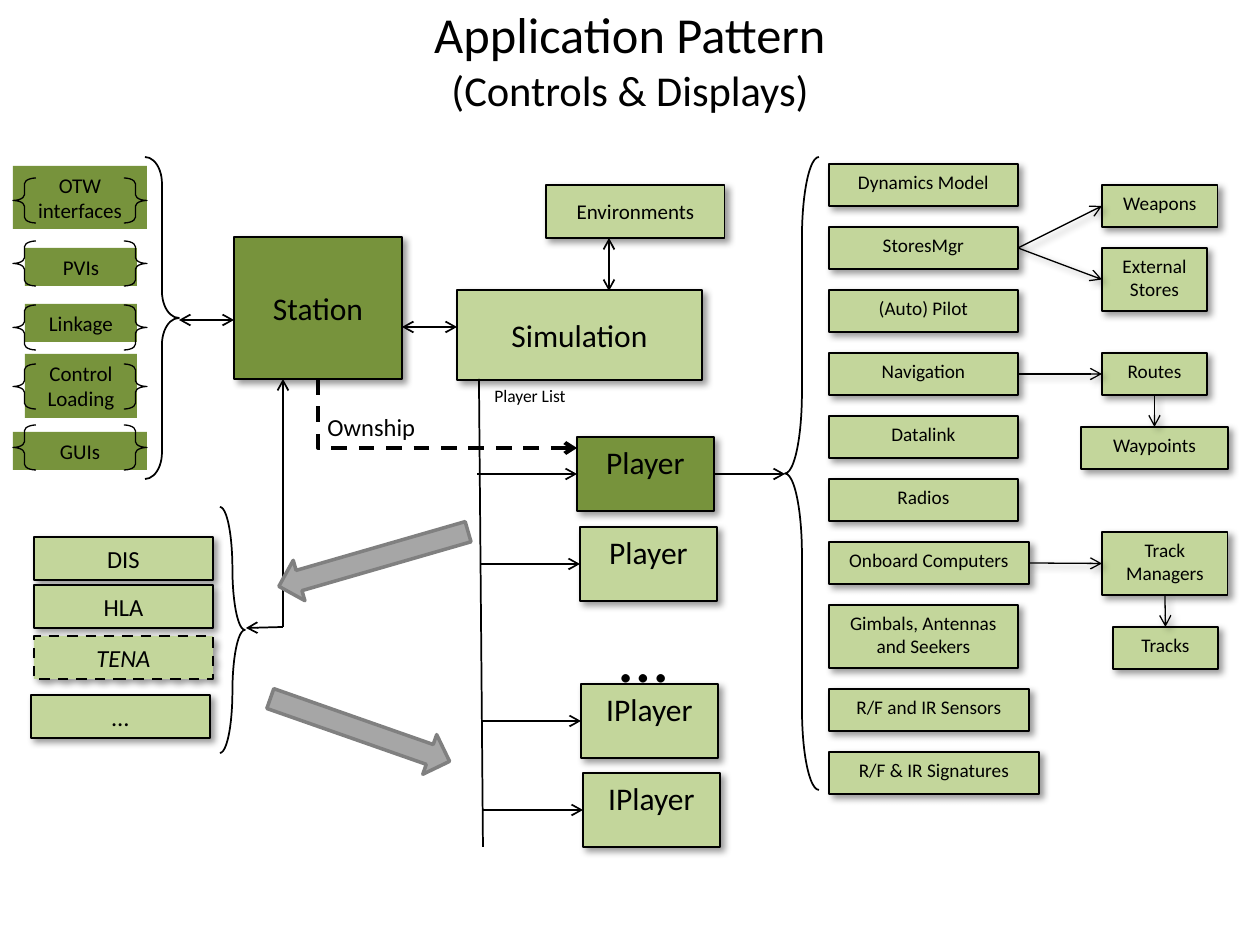
from lxml.etree import SubElement
from pptx import Presentation
from pptx.dml.color import RGBColor
from pptx.enum.dml import MSO_LINE
from pptx.enum.shapes import MSO_CONNECTOR, MSO_SHAPE
from pptx.enum.text import MSO_ANCHOR, PP_ALIGN
from pptx.oxml.ns import qn
from pptx.util import Pt

PX = 7200 * 127 // 126
BLACK = RGBColor(0x00, 0x00, 0x00)
DARK_GREEN = RGBColor(0x77, 0x93, 0x3C)
LIGHT_GREEN = RGBColor(0xC3, 0xD6, 0x9B)
GREY = RGBColor(0xA6, 0xA6, 0xA6)
DARK_GREY = RGBColor(0x80, 0x80, 0x80)
TOP, LEFT, BOTTOM, RIGHT = range(4)


def px(*lengths):
    return [round(length * PX) for length in lengths]


def style_span(span, size, italic=False):
    span.font.name = "Calibri"
    span.font.size = Pt(size)
    span.font.italic = italic
    span.font.color.rgb = BLACK


def write_text(frame, text, size=11, italic=False, align=PP_ALIGN.CENTER,
               anchor=MSO_ANCHOR.TOP, wrap=True):
    frame.text = text
    frame.word_wrap = wrap
    frame.vertical_anchor = anchor
    for para in frame.paragraphs:
        para.alignment = align
        for span in para.runs:
            style_span(span, size, italic)


def add_text(page, bounds, text, **text_format):
    box = page.shapes.add_textbox(*px(*bounds))
    write_text(box.text_frame, text, **text_format)
    return box


def add_shadow(shape):
    effects = shape._element.spPr.find(qn("a:effectLst"))
    shadow = SubElement(effects, qn("a:outerShdw"), blurRad="50800",
                        dist="38100", dir="2700000", algn="tl", rotWithShape="0")
    color = SubElement(shadow, qn("a:srgbClr"), val=str(BLACK))
    SubElement(color, qn("a:alpha"), val="40000")


def add_box(page, bounds, text, fill=LIGHT_GREEN, outlined=True, dashed=False,
            **text_format):
    box = page.shapes.add_shape(MSO_SHAPE.RECTANGLE, *px(*bounds))
    box.shadow.inherit = False
    box.fill.solid()
    box.fill.fore_color.rgb = fill
    if outlined:
        box.line.color.rgb = BLACK
        box.line.width = Pt(1.5 if dashed else 0.75)
        if dashed:
            box.line.dash_style = MSO_LINE.DASH
        add_shadow(box)
    else:
        box.line.fill.background()
    write_text(box.text_frame, text, **text_format)
    return box


def add_brace(page, bounds, curve, width=1, flipped=False):
    brace = page.shapes.add_shape(MSO_SHAPE.LEFT_BRACE, *px(*bounds))
    brace.shadow.inherit = False
    brace.fill.background()
    brace.line.color.rgb = BLACK
    brace.line.width = Pt(width)
    brace.adjustments[0] = curve
    if flipped:
        brace._element.spPr.xfrm.set("flipH", "1")


def add_block_arrow(page, bounds, rotation):
    arrow = page.shapes.add_shape(MSO_SHAPE.RIGHT_ARROW, *px(*bounds))
    arrow.shadow.inherit = False
    arrow.rotation = rotation
    arrow.fill.solid()
    arrow.fill.fore_color.rgb = GREY
    arrow.line.color.rgb = DARK_GREY
    arrow.line.width = Pt(2)


def style_line(line, width, head=False, tail=False):
    line.line.color.rgb = BLACK
    line.line.width = Pt(width)
    SubElement(line._element.spPr, qn("a:effectLst"))
    outline = line.line._get_or_add_ln()
    for tag, wanted in (("a:headEnd", head), ("a:tailEnd", tail)):
        if wanted:
            SubElement(outline, qn(tag), type="arrow")


def add_line(page, start, end, width=1, shadow=False, **arrows):
    """Draw a line; each end is an (x, y) point or a (box, side) pair."""
    ends = [(0, 0) if hasattr(e[0], "shape_id") else e for e in (start, end)]
    line = page.shapes.add_connector(MSO_CONNECTOR.STRAIGHT, *px(*ends[0], *ends[1]))
    for place, connect in ((start, line.begin_connect), (end, line.end_connect)):
        if hasattr(place[0], "shape_id"):
            connect(*place)
    style_line(line, width, **arrows)
    if shadow:
        add_shadow(line)


def add_ownship_link(page):
    """Run a dashed elbow down from the station and right to the player."""
    link = page.shapes.add_connector(MSO_CONNECTOR.ELBOW, *px(482, 284, 413, 543))
    properties = link._element.spPr
    properties.xfrm.set("rot", str(270 * 60000))
    properties.find(qn("a:prstGeom")).set("prst", "bentConnector2")
    link.line.dash_style = MSO_LINE.DASH
    style_line(link, 2.25, tail=True)


def add_title(page):
    box = add_text(page, (63, 10, 1134, 98), "Application Pattern", size=28.8,
                   anchor=MSO_ANCHOR.MIDDLE)
    para = box.text_frame.paragraphs[0]
    para.add_line_break()
    span = para.add_run()
    span.text = "(Controls & Displays)"
    style_span(span, 24.3)


def add_station_side(page):
    middle = MSO_ANCHOR.MIDDLE
    interfaces = [("OTW interfaces", 13, 166, 134, 63, 178),
                  ("PVIs", 25, 248, 112, 38, 241),
                  ("Linkage", 25, 304, 112, 38, 305),
                  ("Control\nLoading", 25, 354, 112, 64, 364),
                  ("GUIs", 13, 432, 134, 38, 425)]
    for text, left, top, width, height, brace_top in interfaces:
        add_box(page, (left, top, width, height), text, fill=DARK_GREEN,
                outlined=False, size=12, anchor=middle)
        add_brace(page, (13, brace_top, 23, 45), 0.25, 0.75)
        add_brace(page, (124, brace_top, 23, 45), 0.25, 0.75, flipped=True)
    add_brace(page, (145, 157, 34, 322), 0.78, flipped=True)

    for text, left, top in (("DIS", 34, 537), ("HLA", 34, 585),
                            ("TENA", 34, 636), ("…", 31, 695)):
        special = text == "TENA"
        add_box(page, (left, top, 179, 43), text, dashed=special, italic=special,
                size=14, anchor=middle)
    add_brace(page, (220, 507, 25, 246), 3.32, flipped=True)

    add_box(page, (234, 237, 168, 142), "Station", fill=DARK_GREEN, size=18,
            anchor=middle)
    add_line(page, (179, 320), (234, 320), head=True, tail=True)
    add_line(page, (283, 379), (283, 627), head=True)
    add_line(page, (283, 627), (246, 628), tail=True)


def add_simulation(page):
    middle = MSO_ANCHOR.MIDDLE
    add_box(page, (457, 290, 245, 90), "Simulation", size=18, anchor=middle)
    add_box(page, (546, 185, 179, 53), "Environments", size=12, anchor=middle)
    add_line(page, (402, 327), (457, 327), head=True, tail=True)
    add_line(page, (609, 238), (609, 291), head=True, tail=True)
    add_line(page, (479, 379), (483, 847))
    add_text(page, (462, 379, 136, 34), "Player List", size=10)

    players = [("Player", 577, 437, DARK_GREEN), ("Player", 580, 527, LIGHT_GREEN),
               ("IPlayer", 581, 684, LIGHT_GREEN), ("IPlayer", 583, 773, LIGHT_GREEN)]
    boxes = []
    for text, left, top, fill in players:
        box = add_box(page, (left, top, 137, 74), text, fill=fill, size=18)
        add_line(page, (box, LEFT), (left - 100, top + 37), head=True)
        boxes.append(box)
    add_line(page, (785, 474), (boxes[0], RIGHT), head=True)
    dots = add_text(page, (607, 606, 126, 62), "…", size=40, wrap=False,
                    align=PP_ALIGN.LEFT)
    dots.text_frame._txBody.bodyPr.set("vert", "wordArtVert")


def add_player_parts(page):
    add_brace(page, (785, 157, 34, 633), 2.38)
    parts = [("Dynamics Model", 189, 42), ("StoresMgr", 189, 42),
             ("(Auto) Pilot", 189, 42), ("Navigation", 189, 42),
             ("Datalink", 189, 42), ("Radios", 189, 42),
             ("Onboard Computers", 200, 42), ("Gimbals, Antennas and Seekers", 189, 63),
             ("R/F and IR Sensors", 200, 42), ("R/F & IR Signatures", 210, 42)]
    details = [("Weapons", 1102, 185, 116, 42), ("External\nStores", 1102, 248, 105, 63),
               ("Routes", 1102, 353, 105, 42), ("Waypoints", 1081, 427, 147, 42),
               ("Track\nManagers", 1102, 532, 126, 63), ("Tracks", 1113, 627, 105, 42)]
    boxes = {}
    top = 164
    for text, width, height in parts:
        boxes[text] = add_box(page, (829, top, width, height), text)
        top += height + 21
    for text, *bounds in details:
        boxes[text] = add_box(page, bounds, text)

    links = [("StoresMgr", RIGHT, "Weapons", LEFT),
             ("StoresMgr", RIGHT, "External\nStores", LEFT),
             ("Navigation", RIGHT, "Routes", LEFT),
             ("Routes", BOTTOM, "Waypoints", TOP),
             ("Onboard Computers", RIGHT, "Track\nManagers", LEFT),
             ("Track\nManagers", BOTTOM, "Tracks", TOP)]
    for source, source_side, target, target_side in links:
        add_line(page, (boxes[source], source_side), (boxes[target], target_side),
                 width=0.75, shadow=True, tail=True)


def main():
    deck = Presentation()
    deck.slide_width, deck.slide_height = px(1260, 945)
    page = deck.slides.add_slide(deck.slide_layouts[6])
    add_title(page)
    add_station_side(page)
    add_simulation(page)
    add_player_parts(page)
    add_block_arrow(page, (265, 709, 190, 42), 19.3)
    add_block_arrow(page, (275, 538, 197, 42), 163.9)
    add_ownship_link(page)
    add_text(page, (315, 406, 121, 43), "Ownship", size=14, wrap=False,
             align=PP_ALIGN.LEFT)
    deck.save("out.pptx")


if __name__ == "__main__":
    main()
